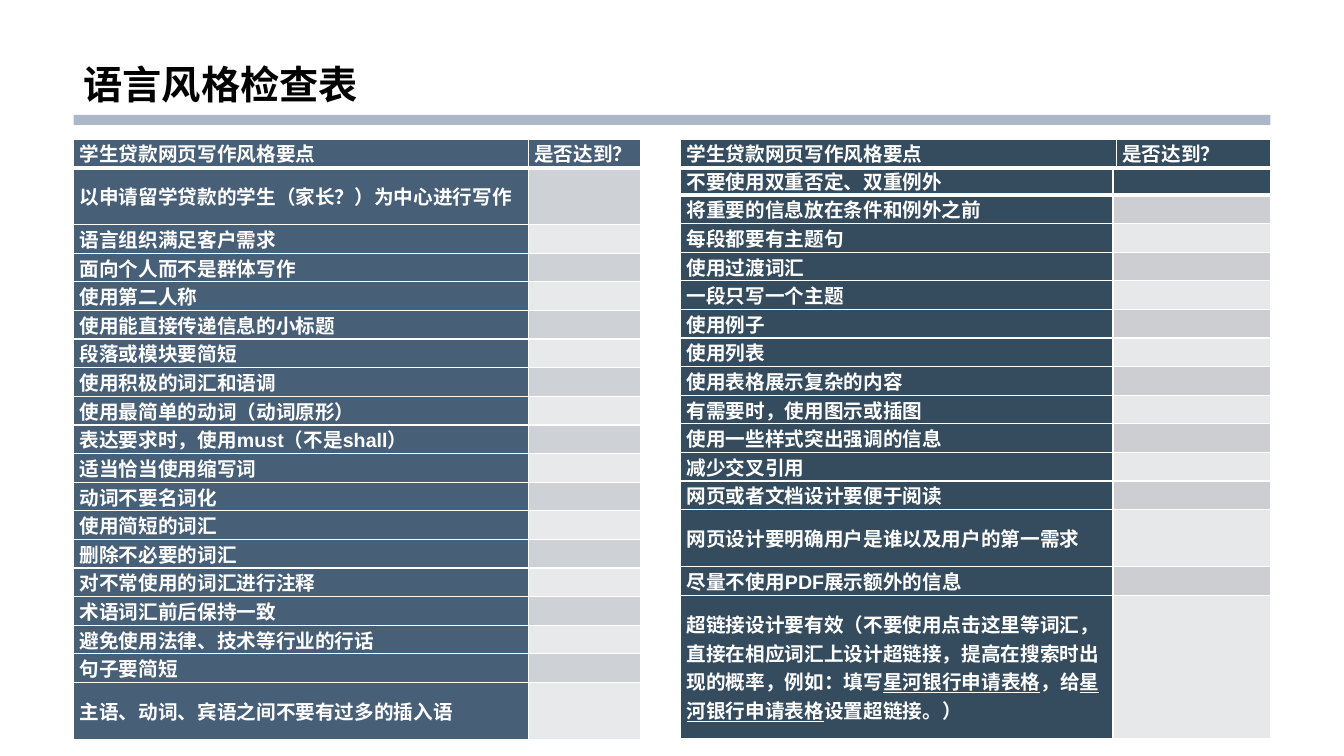
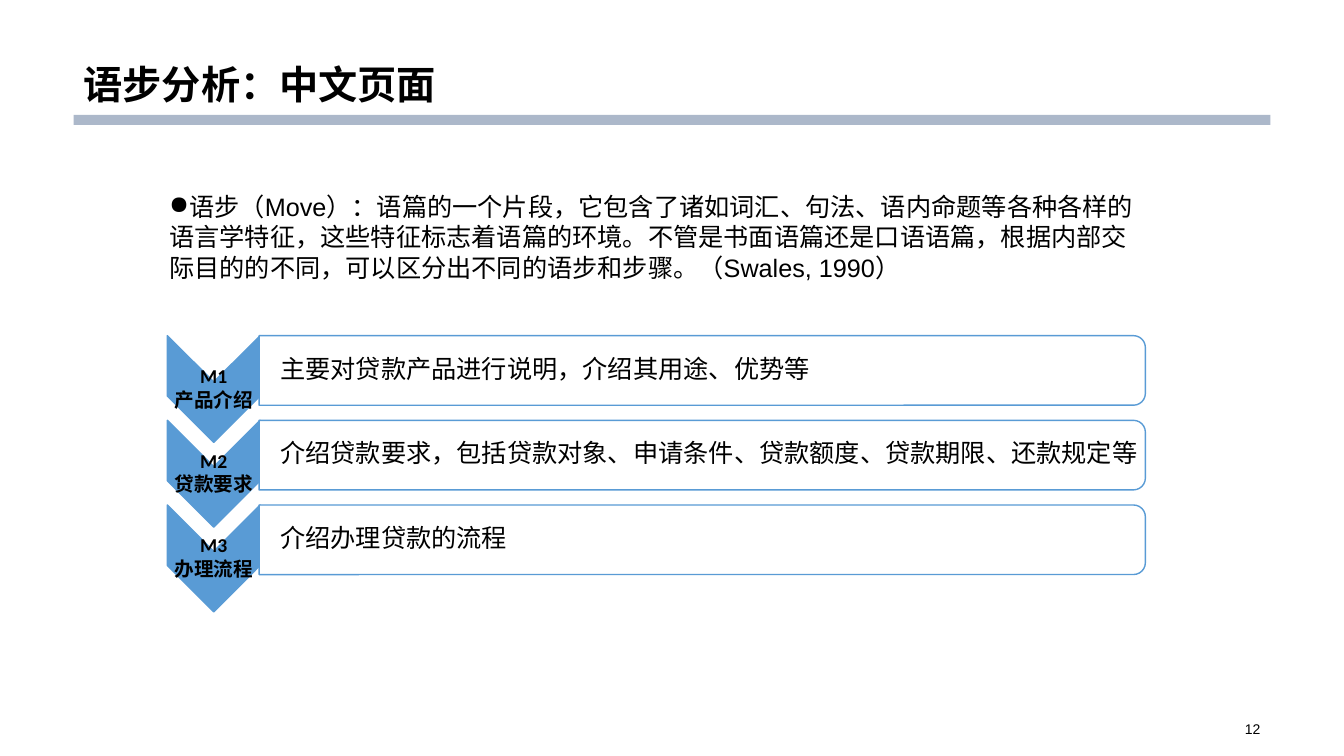
from lxml.etree import SubElement
from pptx import Presentation
from pptx.dml.color import RGBColor
from pptx.enum.lang import MSO_LANGUAGE_ID
from pptx.enum.shapes import MSO_SHAPE
from pptx.enum.text import MSO_ANCHOR, MSO_AUTO_SIZE, PP_ALIGN
from pptx.oxml.ns import qn
from pptx.util import Emu, Pt

SCALE = 9144
BLACK = RGBColor(0x00, 0x00, 0x00)
WHITE = RGBColor(0xFF, 0xFF, 0xFF)
BAND = RGBColor(0xAC, 0xB8, 0xCA)
BLUE = RGBColor(0x59, 0x9B, 0xD5)
SLATE = RGBColor(0x47, 0x5F, 0x77)
NAVY = RGBColor(0x35, 0x4B, 0x5E)
SLATE_TINTS = (RGBColor(0xCE, 0xD1, 0xD5), RGBColor(0xE8, 0xE9, 0xEB))
NAVY_TINTS = (RGBColor(0xCC, 0xCE, 0xD1), RGBColor(0xE7, 0xE8, 0xE9))

HEAD = ["学生贷款网页写作风格要点", "是否达到？"]
LEFT = [
    "以申请留学贷款的学生（家长？）为中心进行写作",
    "语言组织满足客户需求",
    "面向个人而不是群体写作",
    "使用第二人称",
    "使用能直接传递信息的小标题",
    "段落或模块要简短",
    "使用积极的词汇和语调",
    "使用最简单的动词（动词原形）",
    "表达要求时，使用must（不是shall）",
    "适当恰当使用缩写词",
    "动词不要名词化",
    "使用简短的词汇",
    "删除不必要的词汇",
    "对不常使用的词汇进行注释",
    "术语词汇前后保持一致",
    "避免使用法律、技术等行业的行话",
    "句子要简短",
    "主语、动词、宾语之间不要有过多的插入语",
]
RIGHT = [
    "不要使用双重否定、双重例外",
    "将重要的信息放在条件和例外之前",
    "每段都要有主题句",
    "使用过渡词汇",
    "一段只写一个主题",
    "使用例子",
    "使用列表",
    "使用表格展示复杂的内容",
    "有需要时，使用图示或插图",
    "使用一些样式突出强调的信息",
    "减少交叉引用",
    "网页或者文档设计要便于阅读",
    "网页设计要明确用户是谁以及用户的第一需求",
    "尽量不使用PDF展示额外的信息",
    (
        "超链接设计要有效（不要使用点击这里等词汇，直接在相应词汇上设计超链接，"
        "提高在搜索时出现的概率，例如：填写",
        "星河银行申请表格",
        "，给",
        "星河银行申请表格",
        "设置超链接。）",
    ),
]
MOVE = (
    "语步（Move）：语篇的一个片段，它包含了诸如词汇、句法、语内命题等各种各样的"
    "语言学特征，这些特征标志着语篇的环境。不管是书面语篇还是口语语篇，根据内部交"
    "际目的的不同，可以区分出不同的语步和步骤。（Swales, 1990）"
)
STEPS = [
    ("产品介绍", "主要对贷款产品进行说明，介绍其用途、优势等"),
    ("贷款要求", "介绍贷款要求，包括贷款对象、申请条件、贷款额度、贷款期限、还款规定等"),
    ("办理流程", "介绍办理贷款的流程"),
]


def px(size):
    """Turn px into EMU."""
    return Emu(size * SCALE)


def write(frame, *paras, size=18, font="Arial", color=BLACK, bold=False,
          align=PP_ALIGN.LEFT, line=1.0, gap=0, bullet=None):
    """Fill a text frame; every second run of a tuple is underlined."""
    for row, text in enumerate(paras):
        para = frame.paragraphs[0] if row == 0 else frame.add_paragraph()
        para.alignment = align
        para.line_spacing = line
        para.space_before = Pt(gap if row else 0)
        if bullet:
            props = para._p.get_or_add_pPr()
            props.set("marL", "0")
            props.set("indent", "0")
            SubElement(props, qn("a:buChar")).set("char", bullet)
        for spot, part in enumerate((text,) if isinstance(text, str) else text):
            run = para.add_run()
            run.text = part
            style = run.font
            style.size, style.name, style.bold = Pt(size), font, bold
            style.color.rgb = color
            style.language_id = MSO_LANGUAGE_ID.SIMPLIFIED_CHINESE
            if spot % 2:
                style.underline = True


def label(slide, box, *paras, inset=(10, 5, 10, 5), anchor=MSO_ANCHOR.MIDDLE, **style):
    """Add a wrapped text box."""
    frame = slide.shapes.add_textbox(*map(px, box)).text_frame
    frame.word_wrap = True
    frame.vertical_anchor = anchor
    (frame.margin_left, frame.margin_top,
     frame.margin_right, frame.margin_bottom) = map(px, inset)
    write(frame, *paras, **style)


def block(slide, kind, box, fill, line=None, turn=0):
    """Add a filled preset shape."""
    shape = slide.shapes.add_shape(kind, *map(px, box))
    shape.shadow.inherit = False
    shape.rotation = turn
    shape.fill.solid()
    shape.fill.fore_color.rgb = fill
    if line is None:
        shape.line.fill.background()
    else:
        shape.line.color.rgb = line
        shape.line.width = Pt(1)
    return shape


def start(deck, title):
    """Add a slide with its title and band."""
    slide = deck.slides.add_slide(deck.slide_layouts[5])
    block(slide, MSO_SHAPE.RECTANGLE, (73, 114, 1187, 10), BAND)
    head = slide.shapes.title
    head.left, head.top, head.width, head.height = map(px, (73, 0, 1187, 112))
    head.text_frame.auto_size = MSO_AUTO_SIZE.NONE
    head.text_frame.vertical_anchor = MSO_ANCHOR.BOTTOM
    write(head.text_frame, title, size=28, bold=True, line=0.9)
    return slide


def edge(cell, thick):
    """Draw white cell borders, thick below a header."""
    props = cell._tc.get_or_add_tcPr()
    for side in "LRTB":
        width = Pt(3 if thick and side == "B" else 1)
        line = SubElement(props, qn("a:ln" + side), w=str(width))
        fill = SubElement(line, qn("a:solidFill"))
        SubElement(fill, qn("a:srgbClr"), val=str(WHITE))


def paint(cell, fill, text, thick):
    """Format one table cell."""
    edge(cell, thick)
    cell.fill.solid()
    cell.fill.fore_color.rgb = fill
    cell.margin_left = cell.margin_right = px(6)
    cell.margin_top = cell.margin_bottom = 0
    cell.vertical_anchor = MSO_ANCHOR.MIDDLE
    if text:
        write(cell.text_frame, text, size=14, color=WHITE, bold=True)
    else:
        cell.text_frame.paragraphs[0]._p.get_or_add_endParaRPr().set("sz", "1400")


def table(slide, left, top, cols, height, rows, dark, tints=(), tall=None):
    """Add a checklist; tall maps a row to its height in lines."""
    tall = tall or {}
    lines = [tall.get(row, 1) for row in range(len(rows))]
    box = map(px, (left, top, sum(cols), height))
    grid = slide.shapes.add_table(len(rows), len(cols), *box).table
    for col, width in zip(grid.columns, cols):
        col.width = px(width)
    for row, (point, check) in enumerate(rows):
        grid.rows[row].height = px(height) * lines[row] // sum(lines)
        tint = tints[(row - 1) % 2] if row else dark
        paint(grid.cell(row, 0), dark, point, row == 0)
        paint(grid.cell(row, 1), tint, check, row == 0)


def check(deck):
    """Build the checklist slide."""
    slide = start(deck, "语言风格检查表")
    left = [HEAD] + [(text, "") for text in LEFT]
    right = [(text, "") for text in RIGHT]
    table(slide, 73, 138, (451, 111), 593, left, SLATE, SLATE_TINTS, {1: 2, 18: 2})
    table(slide, 675, 165, (429, 156), 567, right, NAVY, NAVY_TINTS, {12: 2, 14: 5})
    table(slide, 675, 138, (432, 153), 28, [HEAD], NAVY)


def step(slide, order, name, text):
    """Add one chevron with its name and description."""
    drop = 84 * order
    block(slide, MSO_SHAPE.CHEVRON, (159, 340 + drop, 106, 92), BLUE, BLUE, 90)
    label(slide, (166, 370 + drop, 92, 32), f"M{order + 1}", name, inset=(0, 0, 0, 0),
          size=14, font="Calibri", bold=True, align=PP_ALIGN.CENTER, line=0.89, gap=2)
    panel = block(slide, MSO_SHAPE.ROUND_2_SAME_RECTANGLE,
                  (662, drop - 72, 69, 879), WHITE, BLUE, 90)
    panel.adjustments[0] = 0.17
    label(slide, (257, 336 + drop, 875, 62), text, inset=(21, 1, 1, 1),
          font="Calibri", line=0.89)


def moves(deck):
    """Build the move analysis slide."""
    slide = start(deck, "语步分析：中文页面")
    label(slide, (942, 712, 318, 23), "12", size=10, align=PP_ALIGN.RIGHT)
    label(slide, (158, 180, 986, 116), MOVE, inset=(10, 10, 10, 10),
          anchor=MSO_ANCHOR.TOP, bullet="●")
    for order, (name, text) in enumerate(STEPS):
        step(slide, order, name, text)


def main():
    """Build and save the deck."""
    deck = Presentation()
    deck.slide_width, deck.slide_height = px(1333), px(750)
    check(deck)
    moves(deck)
    deck.save("out.pptx")


if __name__ == "__main__":
    main()
